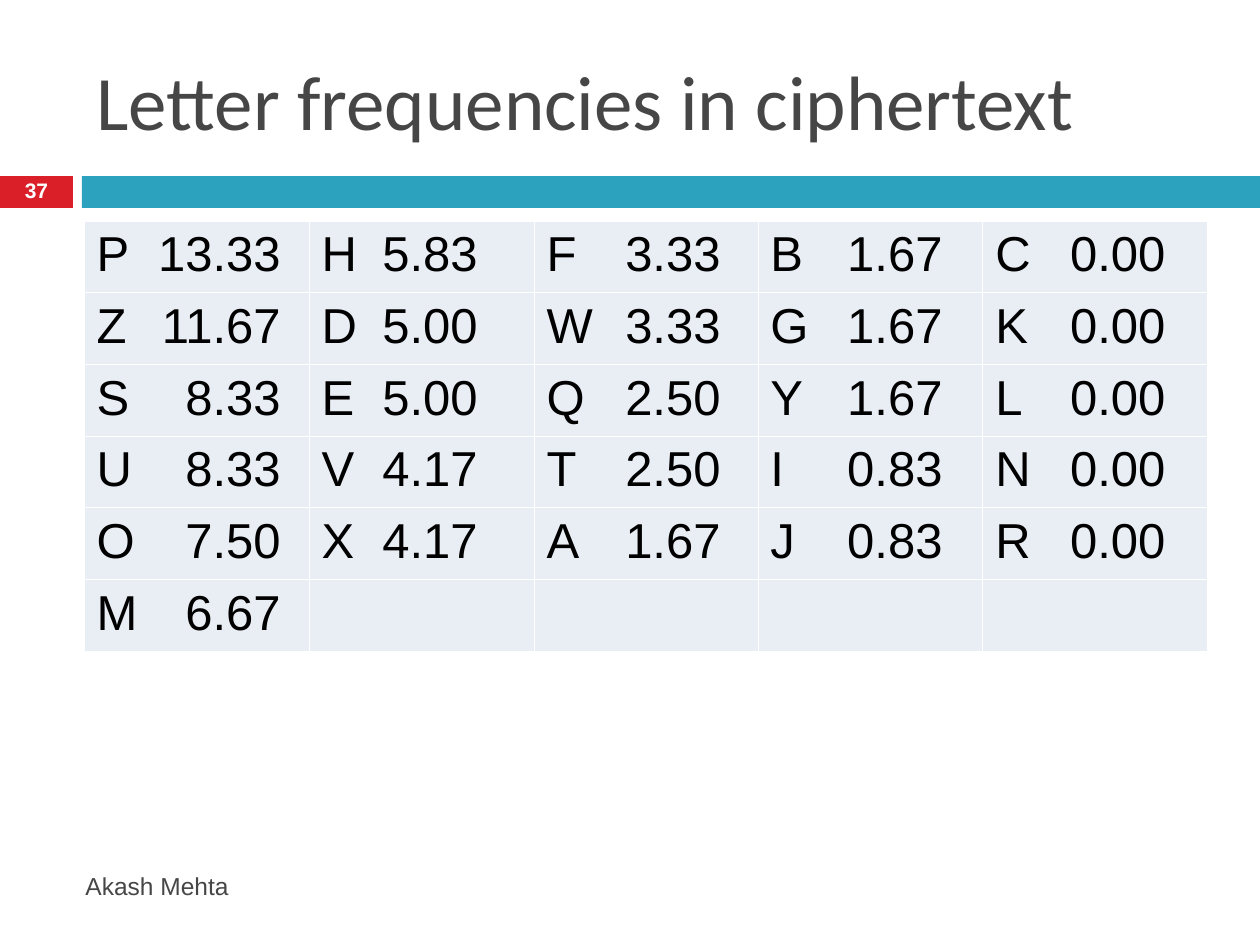
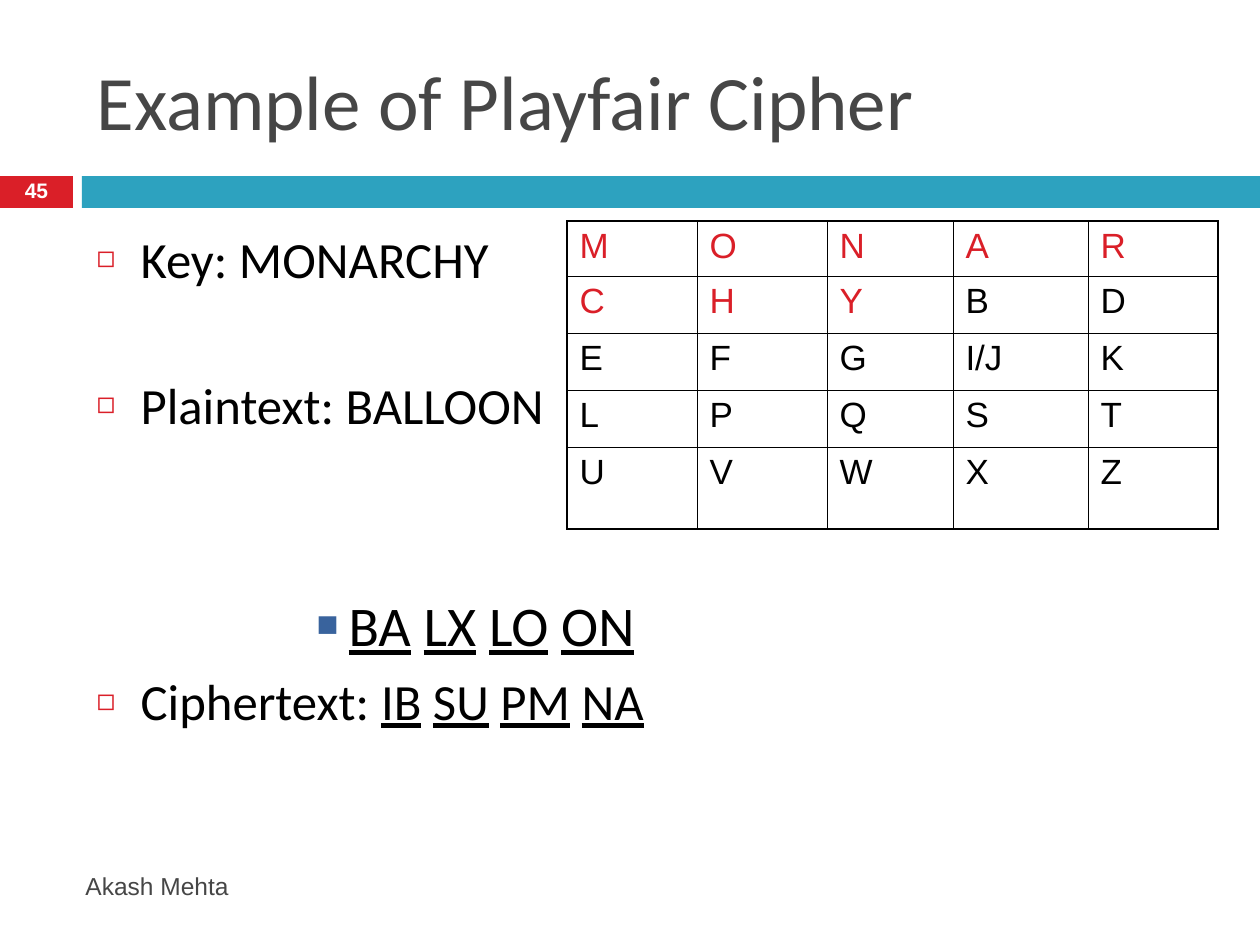
from lxml.etree import SubElement
from pptx import Presentation
from pptx.dml.color import RGBColor
from pptx.enum.shapes import MSO_SHAPE
from pptx.enum.text import MSO_ANCHOR, MSO_AUTO_SIZE, PP_ALIGN
from pptx.oxml.ns import qn
from pptx.util import Emu, Pt

EMU_PER_PX = 914400 / 126

RED = RGBColor(0xDA, 0x1F, 0x28)
TEAL = RGBColor(0x2D, 0xA2, 0xBF)
BLUE = RGBColor(0x39, 0x63, 0x9D)
GREY = RGBColor(0x46, 0x46, 0x46)
PALE = RGBColor(0xE9, 0xED, 0xF4)
BLACK = RGBColor(0, 0, 0)
WHITE = RGBColor(0xFF, 0xFF, 0xFF)

TITLE_TEXT = {"name": "Calibri", "size": Pt(44), "color": GREY}
LIST_TEXT = {"name": "Calibri", "size": Pt(29), "color": BLACK}
DIGRAM_TEXT = {**LIST_TEXT, "size": Pt(32)}
FOOTER_TEXT = {"name": "Arial", "size": Pt(14), "color": GREY}
NUMBER_TEXT = {"name": "Arial", "size": Pt(12), "color": WHITE, "bold": True}
FREQUENCY_TEXT = {"name": "Arial", "size": Pt(28), "color": BLACK}
SQUARE_TEXT = {"name": "Arial", "size": Pt(20), "color": BLACK}

MAIN_BULLET = {"char": "◻", "color": RED, "percent": 60, "margin": 44, "hang": 44}
DIGRAM_BULLET = {"char": "■", "color": BLUE, "percent": 65, "margin": 252, "hang": 32}

THIN, THICK = Pt(0.45), Pt(1.08)

FREQUENCY_COLUMNS = [
    "P 13.33, Z 11.67, S 8.33, U 8.33, O 7.50, M 6.67",
    "H 5.83, D 5.00, E 5.00, V 4.17, X 4.17",
    "F 3.33, W 3.33, Q 2.50, T 2.50, A 1.67",
    "B 1.67, G 1.67, Y 1.67, I 0.83, J 0.83",
    "C 0.00, K 0.00, L 0.00, N 0.00, R 0.00",
]
FREQUENCY_TABS = [184, 156, 174, 172, 170]

KEY = "MONARCHY"
SQUARE = ["M O N A R", "C H Y B D", "E F G I/J K", "L P Q S T", "U V W X Z"]


def px(length):
    return Emu(round(length * EMU_PER_PX))


def split(total, count):
    """Divide a length into whole px parts that add up to it."""
    edges = [round(total * i / count) for i in range(count + 1)]
    return [end - start for start, end in zip(edges, edges[1:])]


def place(shape, left, top, width, height):
    shape.left, shape.top = px(left), px(top)
    shape.width, shape.height = px(width), px(height)


def add_span(para, text, text_format, **changes):
    span = para.add_run()
    span.text = text
    for name, value in {**text_format, **changes}.items():
        if name == "color":
            span.font.color.rgb = value
        else:
            setattr(span.font, name, value)


def add_digrams(para, digrams, text_format):
    """Write letter pairs, each underlined, with plain spaces between."""
    for index, digram in enumerate(digrams.split()):
        if index:
            add_span(para, " ", text_format, underline=False)
        add_span(para, digram, text_format, underline=True)


def add_band(page, color, left, width):
    band = page.shapes.add_shape(MSO_SHAPE.RECTANGLE, 0, 0, 0, 0)
    place(band, left, 176, width, 32)
    band.shadow.inherit = False
    band.fill.solid()
    band.fill.fore_color.rgb = color
    band.line.fill.background()


def add_label(page, text, text_format, bounds, align=PP_ALIGN.LEFT, spacing=1.0):
    box = page.shapes.add_textbox(0, 0, 0, 0)
    place(box, *bounds)
    frame = box.text_frame
    frame.word_wrap = True
    frame.vertical_anchor = MSO_ANCHOR.MIDDLE
    para = frame.paragraphs[0]
    para.alignment, para.line_spacing = align, spacing
    add_span(para, text, text_format)


def add_page(deck, layout, title, number):
    page = deck.slides.add_slide(deck.slide_layouts.get_by_name(layout))
    add_band(page, RED, 0, 73)
    add_band(page, TEAL, 82, 1178)
    heading = page.shapes.title
    place(heading, 84, 32, 1124, 136)
    heading.text_frame.auto_size = MSO_AUTO_SIZE.NONE
    heading.text_frame.vertical_anchor = MSO_ANCHOR.MIDDLE
    para = heading.text_frame.paragraphs[0]
    para.alignment = PP_ALIGN.LEFT
    add_span(para, title, TITLE_TEXT)
    add_label(page, "Akash Mehta", FOOTER_TEXT, (73, 861, 747, 50))
    add_label(page, number, NUMBER_TEXT, (0, 175, 73, 34), PP_ALIGN.CENTER, 0.8)
    return page


def set_bullet(para, char, color, percent, margin, hang):
    props = para._p.get_or_add_pPr()
    props.set("marL", str(px(margin)))
    props.set("indent", str(-px(hang)))
    bullet_color = SubElement(props, qn("a:buClr"))
    SubElement(bullet_color, qn("a:srgbClr"), val=str(color))
    SubElement(props, qn("a:buSzPct"), val=str(percent * 1000))
    SubElement(props, qn("a:buFont"), typeface="Arial")
    SubElement(props, qn("a:buChar"), char=char)


def add_item(frame, bullet, space_before, level=0):
    para = frame.paragraphs[0] if space_before == 0 else frame.add_paragraph()
    para.level = level
    set_bullet(para, **bullet)
    para.space_before = Pt(space_before)
    return para


def set_right_tab(para, position):
    tabs = SubElement(para._p.get_or_add_pPr(), qn("a:tabLst"))
    SubElement(tabs, qn("a:tab"), pos=str(px(position)), algn="r")


def set_borders(cell, color, widths):
    """Draw the left, right, top and bottom borders of a cell."""
    props = cell._tc.get_or_add_tcPr()
    for side, width in zip("LRTB", widths):
        line = SubElement(props, qn(f"a:ln{side}"), w=str(width))
        fill = SubElement(line, qn("a:solidFill"))
        SubElement(fill, qn("a:srgbClr"), val=str(color))


def add_grid(page, left, top, widths, heights):
    frame = page.shapes.add_table(len(heights), len(widths), px(left), px(top),
                                  px(sum(widths)), px(sum(heights)))
    table = frame.table
    table.first_row = table.horz_banding = False
    for column, width in zip(table.columns, widths):
        column.width = px(width)
    for row, height in zip(table.rows, heights):
        row.height = px(height)
    return table


def add_frequency_table(page):
    table = add_grid(page, 84, 221, split(1124, 5), split(428, 6))
    for cell in table.iter_cells():
        set_borders(cell, WHITE, [THIN] * 4)
        cell.fill.solid()
        cell.fill.fore_color.rgb = PALE
    for column, (entries, tab) in enumerate(zip(FREQUENCY_COLUMNS, FREQUENCY_TABS)):
        for row, entry in enumerate(entries.split(", ")):
            para = table.cell(row, column).text_frame.paragraphs[0]
            set_right_tab(para, tab)
            add_span(para, entry.replace(" ", "\t"), FREQUENCY_TEXT)


def add_key_square(page):
    """Draw the Playfair square with the letters of the key in red."""
    table = add_grid(page, 567, 221, [130, 130, 126, 135, 130], [55, 57, 57, 57, 82])
    last = len(SQUARE) - 1
    for row, letters in enumerate(SQUARE):
        for column, letter in enumerate(letters.split()):
            cell = table.cell(row, column)
            outer = [column == 0, column == last, row == 0, row == last]
            set_borders(cell, BLACK, [THICK if edge else THIN for edge in outer])
            cell.fill.background()
            color = RED if letter in KEY else BLACK
            add_span(cell.text_frame.paragraphs[0], letter, SQUARE_TEXT, color=color)


def add_cipher_steps(page):
    body = page.placeholders[1]
    place(body, 84, 221, 1124, 620)
    frame = body.text_frame
    frame.auto_size = MSO_AUTO_SIZE.NONE
    add_span(add_item(frame, MAIN_BULLET, 0), f"Key: {KEY}", LIST_TEXT)
    add_span(add_item(frame, MAIN_BULLET, 49), "Plaintext: BALLOON", LIST_TEXT)
    add_digrams(add_item(frame, DIGRAM_BULLET, 89, level=4), "BA LX LO ON", DIGRAM_TEXT)
    result = add_item(frame, MAIN_BULLET, 7)
    add_span(result, "Ciphertext: ", LIST_TEXT)
    add_digrams(result, "IB SU PM NA", LIST_TEXT)


def main():
    deck = Presentation()
    deck.slide_width, deck.slide_height = px(1260), px(945)

    page = add_page(deck, "Title Only", "Letter frequencies in ciphertext", "37")
    add_frequency_table(page)

    page = add_page(deck, "Title and Content", "Example of Playfair Cipher", "45")
    add_cipher_steps(page)
    add_key_square(page)

    deck.save("out.pptx")


if __name__ == "__main__":
    main()
